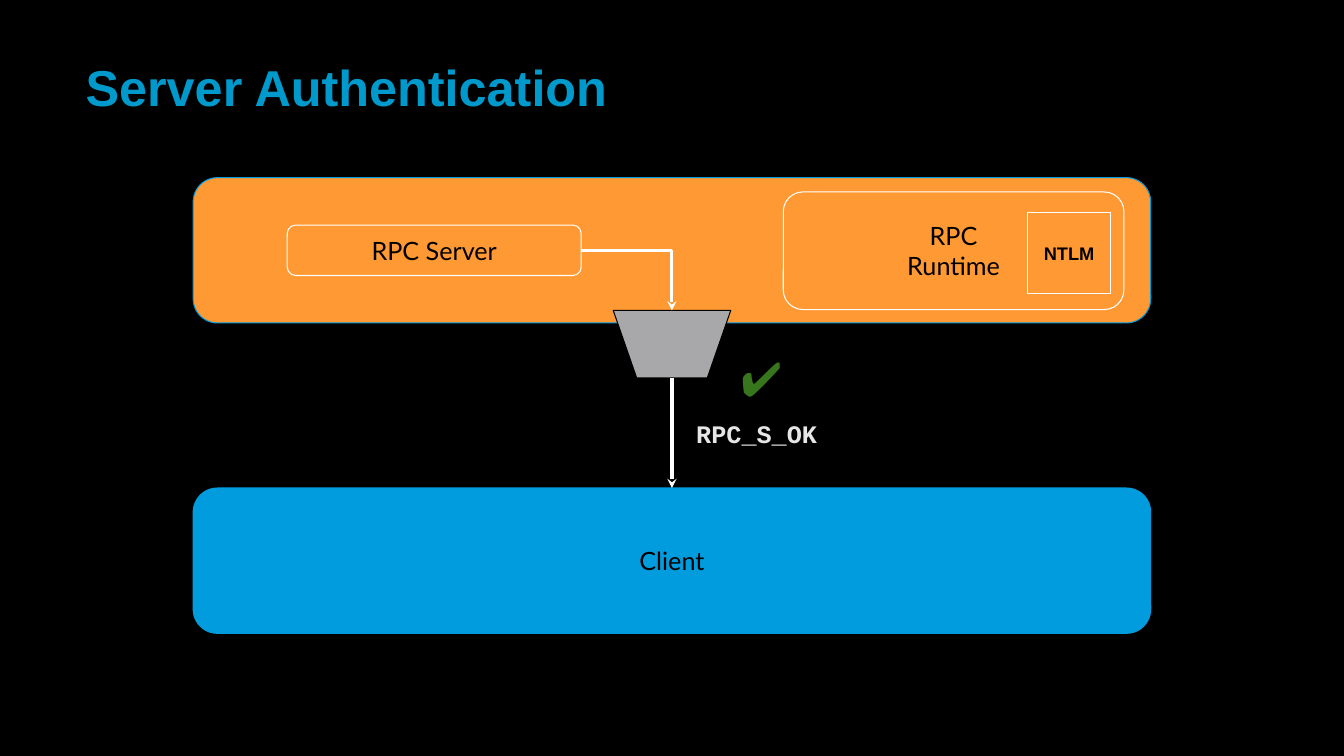
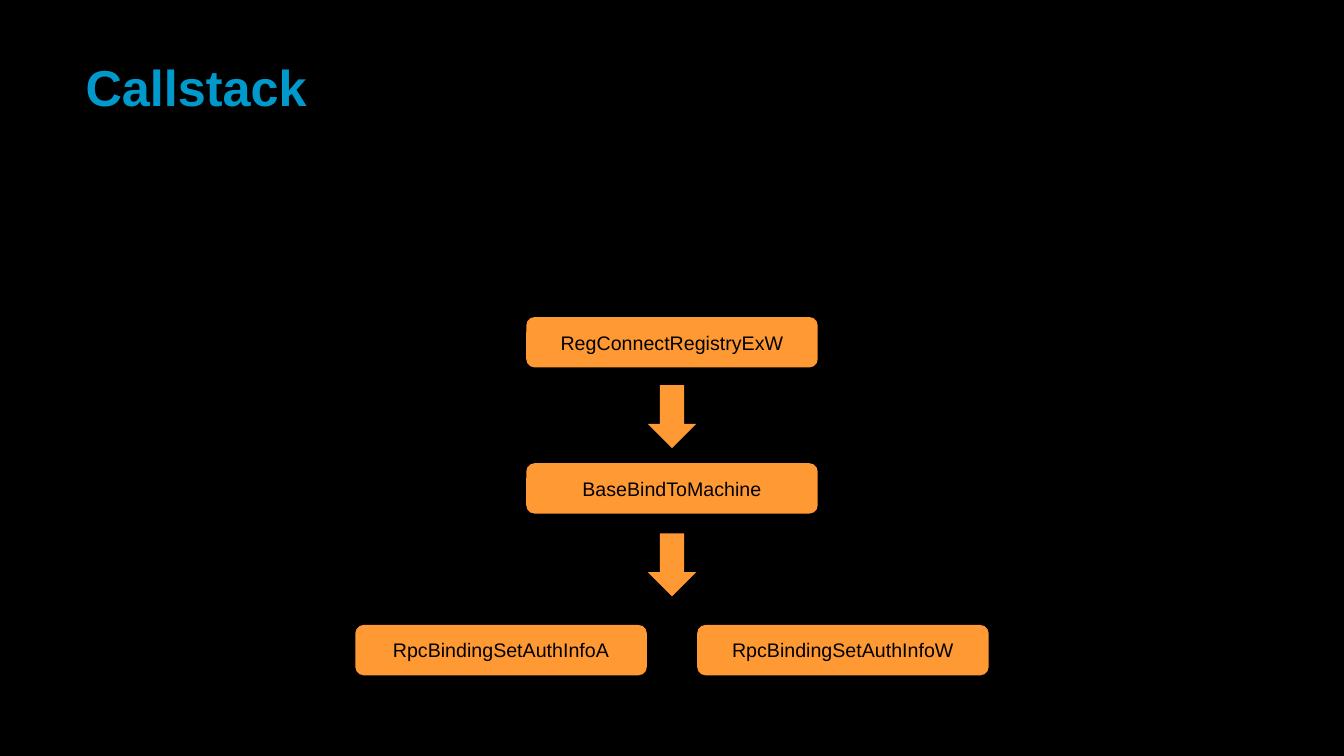
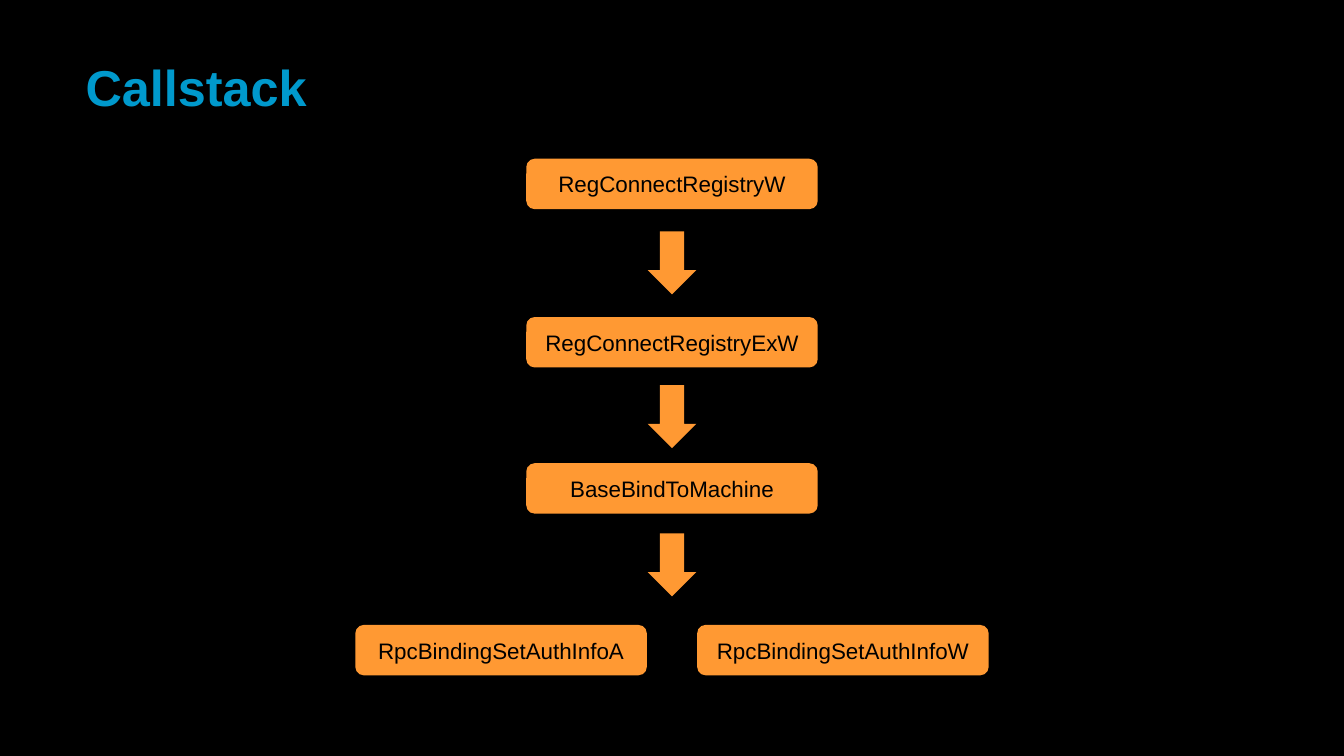
"""Build three slides on RPC server authentication and its callstacks."""
from dataclasses import dataclass
from typing import NamedTuple, Optional

from lxml.etree import SubElement
from pptx import Presentation
from pptx.dml.color import RGBColor as Color
from pptx.enum.shapes import MSO_AUTO_SHAPE_TYPE as Preset, MSO_CONNECTOR as Connector
from pptx.enum.text import MSO_ANCHOR as Anchor, PP_ALIGN as Align
from pptx.oxml.ns import qn
from pptx.util import Inches, Pt

COLUMNS, ROWS = 160, 90
CELL = Inches(7.5) / ROWS
MIDDLE = COLUMNS / 2


@dataclass(frozen=True)
class Theme:
    background: Color = Color.from_string("000000")
    title: Color = Color.from_string("0099CC")
    orange: Color = Color.from_string("FF9933")
    blue: Color = Color.from_string("009CDE")
    grey: Color = Color.from_string("A8A8AA")
    green: Color = Color.from_string("38761D")
    white: Color = Color.from_string("FFFFFF")
    code: Color = Color.from_string("E6E6E6")
    ink: Color = Color.from_string("000000")
    sans: str = "Arial"
    label_font: str = "Lato"
    mono: str = "Courier New"
    title_size: float = 36
    mark_size: float = 34
    label_size: float = 18
    badge_size: float = 13
    outline: float = 0.75
    arrow: float = 2.25
    inset: float = 0.1


THEME = Theme()


class Area(NamedTuple):
    left: float
    top: float
    width: float
    height: float

    def emu(self) -> list[int]:
        return [cells(value) for value in self]


class Point(NamedTuple):
    column: float
    row: float


@dataclass(frozen=True)
class Block:
    area: Area
    preset: Preset = Preset.ROUNDED_RECTANGLE
    fill: Color = THEME.orange
    line: Optional[Color] = None
    text: str = ""
    size: float = THEME.label_size
    font: str = THEME.label_font
    bold: bool = False


@dataclass(frozen=True)
class Level:
    top: float
    calls: tuple[str, ...]
    arrow_top: Optional[float] = None


TITLE = Area(9, 7.32, 146, 6)
PANEL_WIDTH, PANEL_HEIGHT = 114, 17.3
SERVER_TOP, CLIENT_TOP = 21.15, 58.1
PORT_TOP, PORT_BOTTOM = 36.95, 45
RPC_SERVER = Area(34.2, 26.8, 35, 6)
CALL_WIDTH, CALL_HEIGHT, CALL_GAP = 34.7, 6, 6
ARROW_WIDTH, ARROW_HEIGHT = 5.8, 7.5

LEVELS = (
    Level(18.9, ("RegConnectRegistryW",), 27.55),
    Level(37.75, ("RegConnectRegistryExW",), 45.85),
    Level(55.15, ("BaseBindToMachine",), 63.5),
    Level(74.4, ("RpcBindingSetAuthInfoA", "RpcBindingSetAuthInfoW")),
)


def cells(count: float) -> int:
    """Turn a number of grid cells into a length."""
    return round(count * CELL)


def centred(top: float, width: float, height: float) -> Area:
    """Return an area in the middle of the slide's width."""
    return Area(MIDDLE - width / 2, top, width, height)


BLOCKS = (
    Block(centred(SERVER_TOP, PANEL_WIDTH, PANEL_HEIGHT), line=THEME.blue),
    Block(centred(CLIENT_TOP, PANEL_WIDTH, PANEL_HEIGHT), fill=THEME.blue,
          line=THEME.blue, text="Client"),
    Block(centred(PORT_TOP, 14, PORT_BOTTOM - PORT_TOP),
          Preset.FLOWCHART_MANUAL_OPERATION, THEME.grey, THEME.ink),
    Block(RPC_SERVER, line=THEME.white, text="RPC Server"),
    Block(Area(93.25, 22.85, 40.55, 14), line=THEME.white, text="RPC\nRuntime"),
    Block(Area(122.3, 25.25, 9.95, 9.7), Preset.RECTANGLE, line=THEME.white,
          text="NTLM", size=THEME.badge_size, font=THEME.sans, bold=True),
)


def write(shape, text: str, *, size: float, font: str, color: Color, bold: bool = False,
          align: Align = Align.LEFT, anchor: Anchor = Anchor.TOP,
          spacing: Optional[float] = None) -> None:
    """Fill a shape with one formatted paragraph."""
    frame = shape.text_frame
    frame.word_wrap = True
    frame.vertical_anchor = anchor
    frame.margin_left = frame.margin_right = Inches(THEME.inset)
    frame.margin_top = frame.margin_bottom = Inches(THEME.inset)
    paragraph = frame.paragraphs[0]
    paragraph.alignment = align
    paragraph.line_spacing = spacing
    for index, line in enumerate(text.splitlines()):
        if index:
            paragraph.add_line_break()
        run = paragraph.add_run()
        run.text = line
        run.font.size = Pt(size)
        run.font.name = font
        run.font.bold = bold
        run.font.color.rgb = color


def draw_text(slide, area: Area, text: str, **style) -> None:
    """Add a text box."""
    write(slide.shapes.add_textbox(*area.emu()), text, **style)


def draw_block(slide, block: Block) -> None:
    """Add a filled shape with an optional outline and label."""
    shape = slide.shapes.add_shape(block.preset, *block.area.emu())
    shape.shadow.inherit = False
    shape.fill.solid()
    shape.fill.fore_color.rgb = block.fill
    if block.line is None:
        shape.line.fill.background()
    else:
        shape.line.color.rgb = block.line
        shape.line.width = Pt(THEME.outline)
    if block.text:
        write(shape, block.text, size=block.size, font=block.font, color=THEME.ink,
              bold=block.bold, align=Align.CENTER, anchor=Anchor.MIDDLE)


def draw_arrow(slide, tip: Point, tail: Point, kind: Connector = Connector.STRAIGHT) -> None:
    """Add a white arrow; an elbow leaves its tip vertically."""
    connector = slide.shapes.add_connector(kind, *map(cells, (*tip, *tail)))
    connector.line.color.rgb = THEME.white
    connector.line.width = Pt(THEME.arrow)
    properties = connector._element.spPr
    SubElement(properties.find(qn("a:ln")), qn("a:headEnd"), type="stealth")
    SubElement(properties, qn("a:effectLst"))
    if kind == Connector.ELBOW:
        guides = properties.find(qn("a:prstGeom")).get_or_add_avLst()
        SubElement(guides, qn("a:gd"), name="adj1", fmla="val 0")


def add_slide(presentation, title: str):
    """Add a blank slide with the shared title."""
    slide = presentation.slides.add_slide(presentation.slide_layouts[6])
    draw_text(slide, TITLE, title, size=THEME.title_size, font=THEME.sans,
              color=THEME.title, bold=True, anchor=Anchor.MIDDLE)
    return slide


def add_authentication(presentation) -> None:
    """Add the server authentication diagram."""
    slide = add_slide(presentation, "Server Authentication")
    for block in BLOCKS:
        draw_block(slide, block)
    server_exit = Point(RPC_SERVER.left + RPC_SERVER.width,
                        RPC_SERVER.top + RPC_SERVER.height / 2)
    draw_arrow(slide, Point(MIDDLE, PORT_TOP), server_exit, Connector.ELBOW)
    draw_arrow(slide, Point(MIDDLE, CLIENT_TOP), Point(MIDDLE, PORT_BOTTOM))
    draw_text(slide, Area(81.7, 47.5, 59.65, 6), "RPC_S_OK", size=THEME.label_size,
              font=THEME.mono, color=THEME.code, bold=True, spacing=1.3)
    draw_text(slide, Area(87, 40.3, 7, 9.25), "✔", size=THEME.mark_size,
              font=THEME.sans, color=THEME.green, bold=True)


def add_callstack(presentation, levels: tuple[Level, ...], size: float) -> None:
    """Add a callstack of centred levels joined by block arrows."""
    slide = add_slide(presentation, "Callstack")
    step = CALL_WIDTH + CALL_GAP
    for level in levels:
        row = centred(level.top, len(level.calls) * step - CALL_GAP, CALL_HEIGHT)
        for index, call in enumerate(level.calls):
            area = Area(row.left + index * step, row.top, CALL_WIDTH, CALL_HEIGHT)
            draw_block(slide, Block(area, text=call, size=size, font=THEME.sans))
        if level.arrow_top is not None:
            draw_block(slide, Block(centred(level.arrow_top, ARROW_WIDTH, ARROW_HEIGHT),
                                    Preset.DOWN_ARROW))


def main() -> None:
    """Build and save the presentation."""
    presentation = Presentation()
    presentation.slide_width, presentation.slide_height = cells(COLUMNS), cells(ROWS)
    background = presentation.slide_master.background.fill
    background.solid()
    background.fore_color.rgb = THEME.background
    add_authentication(presentation)
    add_callstack(presentation, LEVELS[1:], 14)
    add_callstack(presentation, LEVELS, 16)
    presentation.save("out.pptx")


if __name__ == "__main__":
    main()
